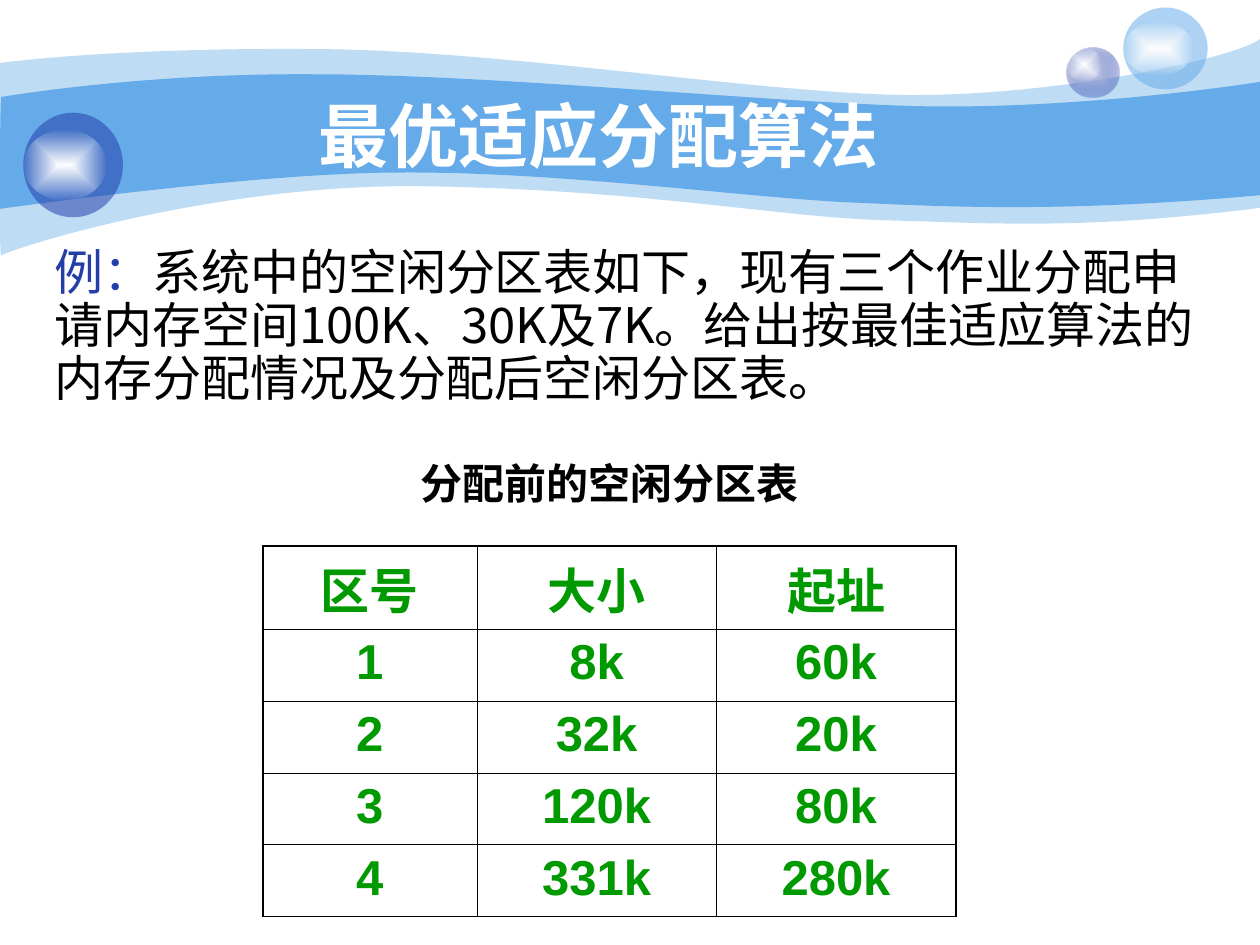
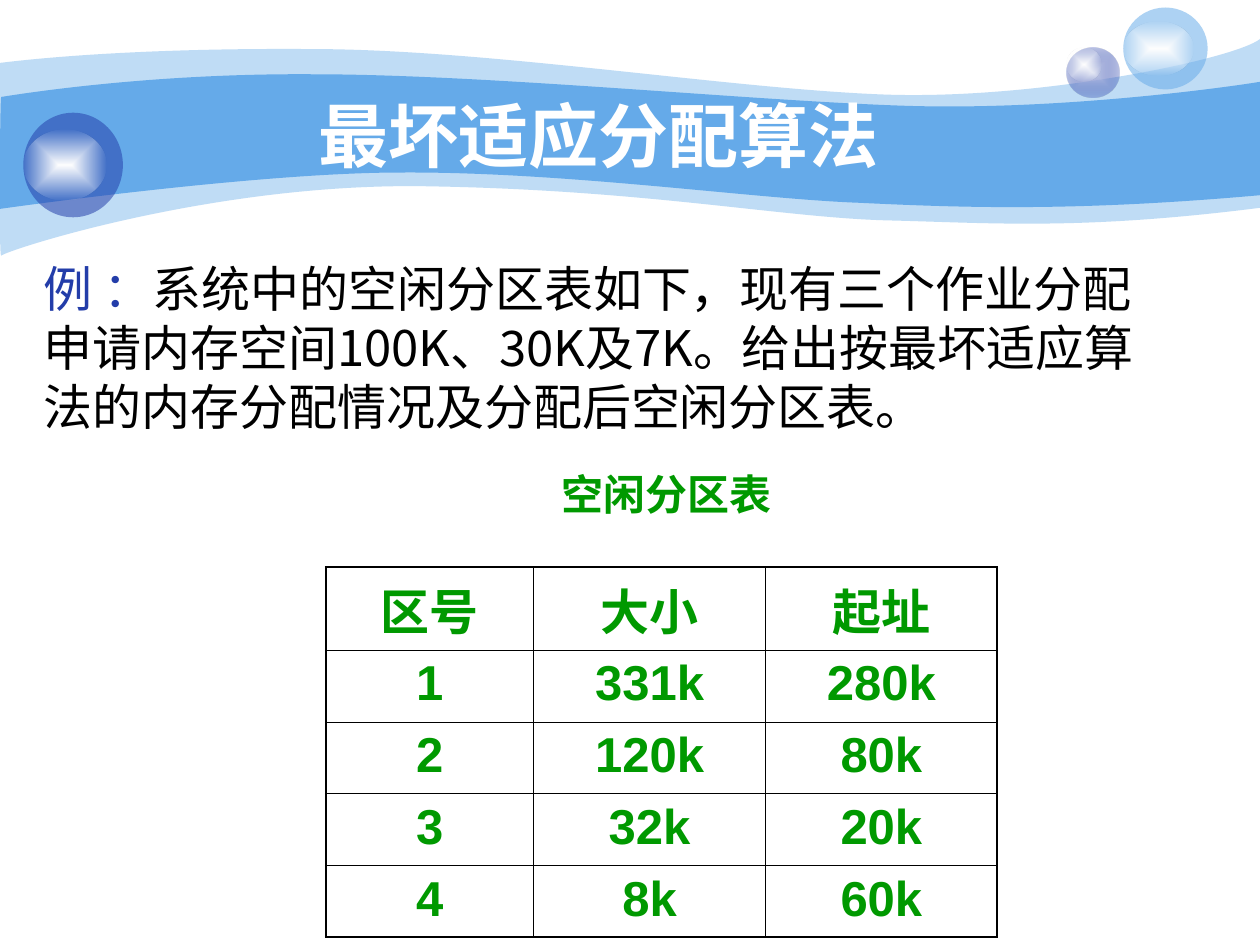
from dataclasses import dataclass
from typing import NamedTuple

from lxml import etree
from pptx import Presentation
from pptx.dml.color import RGBColor
from pptx.enum.lang import MSO_LANGUAGE_ID
from pptx.enum.shapes import MSO_SHAPE
from pptx.enum.text import MSO_ANCHOR, MSO_AUTO_SIZE, PP_ALIGN
from pptx.oxml import parse_xml
from pptx.oxml.ns import nsdecls, qn
from pptx.util import Inches, Pt

OVAL = MSO_SHAPE.OVAL
LEFT, CENTER = PP_ALIGN.LEFT, PP_ALIGN.CENTER
MIDDLE = MSO_ANCHOR.MIDDLE
GROW, FIXED = MSO_AUTO_SIZE.SHAPE_TO_FIT_TEXT, MSO_AUTO_SIZE.NONE
CHINESE = MSO_LANGUAGE_ID.SIMPLIFIED_CHINESE

COLS, ROWS = 100, 75
CELL = Inches(0.1)
FIRST_ID = 100


class Style(NamedTuple):
    size: int
    color: str
    font: str
    bold: bool = False


@dataclass(frozen=True)
class Theme:
    sky: str = "65AAE9"
    navy: str = "233DA9"
    pale: str = "C7CEE9"
    white: str = "FFFFFF"
    black: str = "000000"
    green: str = "009900"
    cjk: str = "Noto Sans CJK SC"
    latin: str = "Arial"
    label: str = "Roboto"
    outer: float = 1.08
    inner: float = 0.45


T = Theme()
TITLE = Style(40, T.white, T.latin, True)
LEAD = Style(28, T.navy, T.cjk)
BODY = Style(28, T.black, T.cjk)
GRID = Style(28, T.green, T.latin, True)


class Box(NamedTuple):
    """Place and size in grid cells."""
    x: float
    y: float
    w: float
    h: float

    def emu(self) -> list[int]:
        return [round(v * CELL) for v in self]


class Stop(NamedTuple):
    color: str
    alpha: int = 100


class Wave(NamedTuple):
    """Start point, top curves, right edge drop, then the lower curves."""
    start: tuple
    top: list
    edge: tuple
    base: list
    fill: Stop


class Bubble(NamedTuple):
    ball: Box
    shine: Box
    fill: list[Stop]


class Page(NamedTuple):
    title: str
    lead: str
    body: str
    body_box: Box
    spacing: float
    label: str
    label_box: Box
    label_color: str
    table_box: Box
    widths: list[float]
    zones: list[tuple]


WAVES = [
    Wave((0, 5),
         [(2.4, 4.7, 10.7, 3.8, 24.7, 3.9), (38.6, 3.9, 57.5, 7, 69.9, 7.5),
          (82.2, 8, 98, 4.7, 100, 3.1)],
         (100, 16.5),
         [(85.8, 18.3, 78.7, 17.7, 70.5, 17.5), (62.2, 17.3, 51.5, 15.1, 34.3, 14.8),
          (17.2, 14.4, 0.4, 19.9, 0.1, 20.3), (-0.1, 20.8, 0, 7.5, 0, 5)],
         Stop(T.sky, 41)),
    Wave((0.1, 7.7),
         [(0.2, 7.7, 11, 5.8, 24.8, 5.9), (38.6, 5.9, 59.5, 8, 71.8, 8.4),
          (84.1, 8.8, 97.6, 6.9, 100, 6.5)],
         (100, 15.5),
         [(85.3, 16.8, 76.5, 16.5, 68.2, 16.1), (59.9, 15.8, 44.7, 13.6, 31.7, 13.7),
          (20.3, 13.7, -0.2, 16.6, -0.1, 16.6), (0, 16.6, 0, 7.7, 0.1, 7.7)],
         Stop(T.sky)),
]
SHINE = [Stop(T.white), Stop(T.white, 0)]
BUBBLES = [
    Bubble(Box(84.65, 3.75, 4.2, 4), Box(84.65, 3.75, 2.8, 2.7),
           [Stop(T.pale), Stop(T.navy, 31)]),
    Bubble(Box(89.15, 0.6, 6.7, 6.5), Box(89.15, 1.7, 5.6, 4.3), [Stop(T.sky, 53)]),
    Bubble(Box(1.85, 8.95, 7.9, 8.3), Box(1.85, 10.3, 6.6, 5.6), [Stop(T.navy, 53)]),
]
TITLE_BOX = Box(19.15, 7.1, 56.7, 7.1)
HEADS = ("区号", "大小", "起址")
HEAD_HEIGHT, ROW_HEIGHT = 6.6, 5.7
ASK = "系统中的空闲分区表如下，现有三个作业分配申请内存空间100K、30K及7K。给出按{}适应算法的内存分配情况及分配后空闲分区表。"

PAGES = [
    Page("最优适应分配算法", "例：", ASK.format("最佳"), Box(3.35, 19.2, 95, 13.6), 0.9,
         "分配前的空闲分区表", Box(30, 35.8, 36.7, 5), T.black,
         Box(20.85, 43.35, 55, 29.4), [17, 19, 19],
         [("8k", "60k"), ("32k", "20k"), ("120k", "80k"), ("331k", "280k")]),
    Page("最坏适应分配算法", "例 ：", ASK.format("最坏"), Box(2.5, 20.05, 92.1, 15), 1.0,
         "空闲分区表", Box(37.5, 36.7, 30.8, 5), T.green,
         Box(25.85, 45, 53.3, 29.4), [16.5, 18.4, 18.4],
         [("331k", "280k"), ("120k", "80k"), ("32k", "20k"), ("8k", "60k")]),
]


def paint(shape, stops: list[Stop]) -> None:
    """Fill flat for one stop, from the centre outwards for two."""
    tints = [f'<a:srgbClr val="{s.color}"><a:alpha val="{s.alpha * 1000}"/></a:srgbClr>'
             for s in stops]
    if len(tints) == 1:
        fill = f'<a:solidFill {nsdecls("a")}>{tints[0]}</a:solidFill>'
    else:
        marks = "".join(f'<a:gs pos="{i * 100000}">{t}</a:gs>' for i, t in enumerate(tints))
        fill = (f'<a:gradFill {nsdecls("a")} rotWithShape="1"><a:gsLst>{marks}</a:gsLst>'
                '<a:path path="rect"><a:fillToRect l="50000" t="50000" r="50000" b="50000"/>'
                '</a:path></a:gradFill>')
    shape.line.fill.background()
    shape.shadow.inherit = False
    shape.element.spPr.insert(2, parse_xml(fill))


def bend(lines: list) -> None:
    """Join each three line steps into one cubic curve."""
    for i in range(0, len(lines), 3):
        curve = etree.Element(qn("a:cubicBezTo"))
        lines[i].addprevious(curve)
        for line in lines[i:i + 3]:
            curve.append(line[0])
            line.getparent().remove(line)


def add_wave(slide, wave: Wave) -> None:
    def knots(curves: list) -> list[tuple]:
        return [(c[i], c[i + 1]) for c in curves for i in (0, 2, 4)]

    points = [wave.start, *knots(wave.top), wave.edge, *knots(wave.base)]
    first, *rest = [(round(x * CELL), round(y * CELL)) for x, y in points]
    pen = slide.shapes.build_freeform(*first)
    pen.add_line_segments(rest, close=True)
    shape = pen.convert_to_shape()
    lines = list(shape.element.iter(qn("a:lnTo")))
    drop = 3 * len(wave.top)
    bend(lines[:drop])
    bend(lines[drop + 1:drop + 1 + 3 * len(wave.base)])
    paint(shape, [wave.fill])


def add_bubble(slide, bubble: Bubble) -> None:
    group = slide.shapes.add_group_shape()
    for box, stops in ((bubble.ball, bubble.fill), (bubble.shine, SHINE)):
        paint(group.shapes.add_shape(OVAL, *box.emu()), stops)


def dress(layout, slide) -> None:
    """Draw the shared waves and bubbles, then hand them to the layout."""
    kept = len(slide.shapes)
    for wave in WAVES:
        add_wave(slide, wave)
    for bubble in BUBBLES:
        add_bubble(slide, bubble)
    count = FIRST_ID
    for shape in list(slide.shapes)[kept:]:
        layout.shapes.element.append(shape.element)
        for mark in shape.element.iter(qn("p:cNvPr")):
            mark.set("id", str(count))
            count += 1


def style_run(run, style: Style) -> None:
    font = run.font
    font.size, font.bold, font.name = Pt(style.size), style.bold, style.font
    font.color.rgb = RGBColor.from_string(style.color)
    font.language_id = CHINESE
    east = etree.SubElement(run._r.get_or_add_rPr(), qn("a:ea"))
    east.set("typeface", T.cjk)


def write(frame, parts: list[tuple[str, Style]], align=CENTER, spacing: float = 1.0) -> None:
    """Set one paragraph made of styled runs."""
    para = frame.paragraphs[0]
    para.alignment, para.line_spacing = align, spacing
    for text, style in parts:
        run = para.add_run()
        run.text = text
        style_run(run, style)


def add_text(slide, box: Box, parts: list[tuple[str, Style]], align=CENTER,
             spacing: float = 1.0) -> None:
    frame = slide.shapes.add_textbox(*box.emu()).text_frame
    frame.word_wrap, frame.auto_size = True, GROW
    write(frame, parts, align, spacing)


def set_title(slide, text: str) -> None:
    title = slide.shapes.title
    title.left, title.top, title.width, title.height = TITLE_BOX.emu()
    frame = title.text_frame
    frame.vertical_anchor, frame.auto_size = MIDDLE, FIXED
    write(frame, [(text, TITLE)])


def rule_cell(cell, outer: dict[str, bool]) -> None:
    """Draw the four cell borders, heavier on the outside of the table."""
    cell.fill.background()
    props = cell._tc.get_or_add_tcPr()
    for spot, (side, edge) in enumerate(outer.items()):
        width = Pt(T.outer if edge else T.inner)
        props.insert(spot, parse_xml(
            f'<a:ln{side} {nsdecls("a")} w="{width}"><a:solidFill>'
            f'<a:srgbClr val="{T.black}"/></a:solidFill></a:ln{side}>'))


def add_grid(slide, page: Page) -> None:
    rows = [HEADS] + [(str(n), *zone) for n, zone in enumerate(page.zones, 1)]
    last_row, last_col = len(rows) - 1, len(HEADS) - 1
    table = slide.shapes.add_table(len(rows), len(HEADS), *page.table_box.emu()).table
    table.first_row = table.horz_banding = False
    for column, width in zip(table.columns, page.widths):
        column.width = round(width * CELL)
    for r, values in enumerate(rows):
        table.rows[r].height = round((ROW_HEIGHT if r else HEAD_HEIGHT) * CELL)
        for c, value in enumerate(values):
            cell = table.cell(r, c)
            write(cell.text_frame, [(value, GRID)])
            rule_cell(cell, {"L": c == 0, "R": c == last_col, "T": r == 0, "B": r == last_row})


def fill_page(slide, page: Page) -> None:
    set_title(slide, page.title)
    add_text(slide, page.body_box, [(page.lead, LEAD), (page.body, BODY)], LEFT, page.spacing)
    add_text(slide, page.label_box,
             [(page.label, Style(24, page.label_color, T.label, True))])
    add_grid(slide, page)


def main() -> None:
    deck = Presentation()
    deck.slide_width, deck.slide_height = COLS * CELL, ROWS * CELL
    layout = deck.slide_layouts.get_by_name("Title Only")
    slides = [deck.slides.add_slide(layout) for _ in PAGES]
    dress(layout, slides[0])
    for slide, page in zip(slides, PAGES):
        fill_page(slide, page)
    deck.save("out.pptx")


if __name__ == "__main__":
    main()
